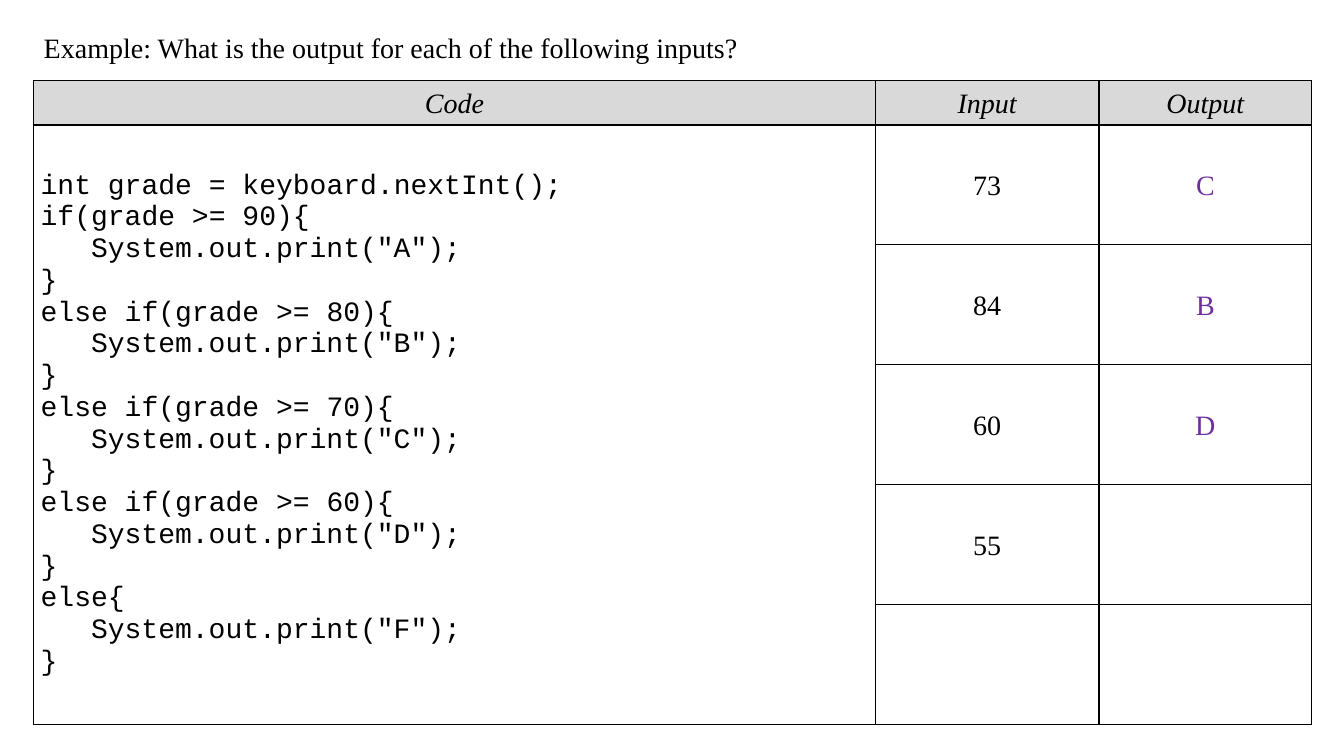
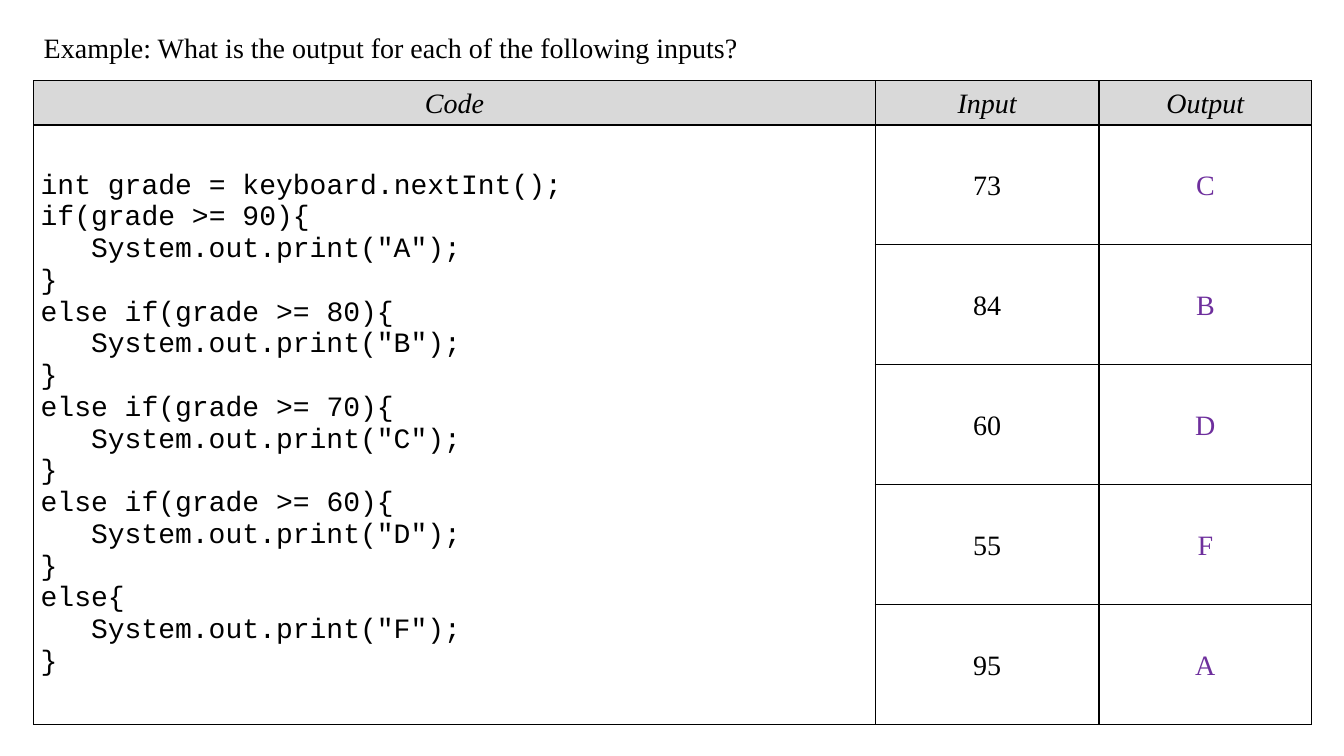
import dataclasses

import lxml.etree
import pptx
import pptx.dml.color
import pptx.enum.text
import pptx.oxml.ns
import pptx.util

ALIGN = pptx.enum.text.PP_ALIGN
ANCHOR = pptx.enum.text.MSO_ANCHOR


@dataclasses.dataclass(frozen=True)
class Theme:
    ink: str = "000000"
    answer: str = "6E2F9D"
    header: str = "D9D9D9"
    text_font: str = "Times New Roman"
    code_font: str = "Courier New"
    text_size: float = 20
    border_width: float = 1
    line_spacing: float = 1.07
    space_after: float = 8
    cell_inset: float = 0.07
    width: float = 40 / 3
    height: float = 7.5
    columns: int = 40
    rows: int = 30


class Deck:
    def __init__(self, theme):
        self.theme = theme
        self.deck = pptx.Presentation()
        self.deck.slide_width = pptx.util.Inches(theme.width)
        self.deck.slide_height = pptx.util.Inches(theme.height)
        self.page = None

    def across(self, columns):
        return round(self.deck.slide_width * columns / self.theme.columns)

    def down(self, rows):
        return round(self.deck.slide_height * rows / self.theme.rows)

    def add_page(self, title):
        self.page = self.deck.slides.add_slide(self.deck.slide_layouts[5])
        box = self.page.shapes.title
        box.left, box.top = self.across(1), self.down(1)
        box.width, box.height = self.across(24.15), self.down(1.76)
        frame = box.text_frame
        frame.word_wrap = True
        frame.auto_size = pptx.enum.text.MSO_AUTO_SIZE.SHAPE_TO_FIT_TEXT
        frame.vertical_anchor = ANCHOR.TOP
        para = frame.paragraphs[0]
        para.alignment = ALIGN.LEFT
        self.add_span(para, title)

    def add_span(self, para, text, color=None, font=None, italic=False):
        span = para.add_run()
        span.text = text
        span.font.name = font or self.theme.text_font
        span.font.size = pptx.util.Pt(self.theme.text_size)
        span.font.italic = italic
        span.font.color.rgb = pptx.dml.color.RGBColor.from_string(color or self.theme.ink)

    def add_table(self, left, top, widths, heights):
        table = self.page.shapes.add_table(
            len(heights), len(widths), self.across(left), self.down(top),
            self.across(sum(widths)), self.down(sum(heights))).table
        table.first_row = False
        table.horz_banding = False
        for column, width in zip(table.columns, widths):
            column.width = self.across(width)
        for row, height in zip(table.rows, heights):
            row.height = self.down(height)
        for cell in table.iter_cells():
            self.style_cell(cell)
        return table

    def style_cell(self, cell):
        cell.vertical_anchor = ANCHOR.MIDDLE
        cell.margin_left = cell.margin_right = pptx.util.Inches(self.theme.cell_inset)
        cell.margin_top = cell.margin_bottom = 0
        qualify = pptx.oxml.ns.qn
        properties = cell._tc.get_or_add_tcPr()
        for side in ("a:lnL", "a:lnR", "a:lnT", "a:lnB"):
            line = lxml.etree.SubElement(properties, qualify(side))
            line.set("w", str(pptx.util.Pt(self.theme.border_width)))
            fill = lxml.etree.SubElement(line, qualify("a:solidFill"))
            lxml.etree.SubElement(fill, qualify("a:srgbClr")).set("val", self.theme.ink)
        cell.fill.background()

    def fill_cell(self, cell, text, **style):
        para = cell.text_frame.paragraphs[0]
        para.alignment = ALIGN.CENTER
        para.line_spacing = self.theme.line_spacing
        para.space_after = pptx.util.Pt(self.theme.space_after)
        self.add_span(para, text, **style)

    def fill_header(self, cell, text):
        self.fill_cell(cell, text, italic=True)
        cell.fill.solid()
        cell.fill.fore_color.rgb = pptx.dml.color.RGBColor.from_string(self.theme.header)

    def fill_code(self, cell, lines):
        frame = cell.text_frame
        for index, line in enumerate(lines):
            para = frame.add_paragraph() if index else frame.paragraphs[0]
            self.add_span(para, line, font=self.theme.code_font)

    def add_exercise(self, code, inputs, outputs):
        table = self.add_table(1, 3.2, (25.05, 6.66, 6.33), (1.76,) + (4.76,) * 5)
        for column, heading in enumerate(("Code", "Input", "Output")):
            self.fill_header(table.cell(0, column), heading)
        table.cell(1, 0).merge(table.cell(5, 0))
        self.fill_code(table.cell(1, 0), code)
        for row, value in enumerate(inputs, 1):
            self.fill_cell(table.cell(row, 1), value)
        for row, value in enumerate(outputs, 1):
            self.fill_cell(table.cell(row, 2), value, color=self.theme.answer)


TITLE = "Example: What is the output for each of the following inputs?"
CODE = (
    'int grade = keyboard.nextInt();',
    'if(grade >= 90){',
    '\tSystem.out.print("A");',
    '}',
    'else if(grade >= 80){',
    '\tSystem.out.print("B");',
    '}',
    'else if(grade >= 70){',
    '\tSystem.out.print("C");',
    '}',
    'else if(grade >= 60){',
    '\tSystem.out.print("D");',
    '}',
    'else{',
    '\tSystem.out.print("F");',
    '}',
)
INPUTS = ("73", "84", "60", "55", "95")
OUTPUTS = ("C", "B", "D", "F", "A")
REVEALED = ((4, 3), (5, 5))


def main():
    lesson = Deck(Theme())
    for input_count, output_count in REVEALED:
        lesson.add_page(TITLE)
        lesson.add_exercise(CODE, INPUTS[:input_count], OUTPUTS[:output_count])
    lesson.deck.save("out.pptx")


if __name__ == "__main__":
    main()
